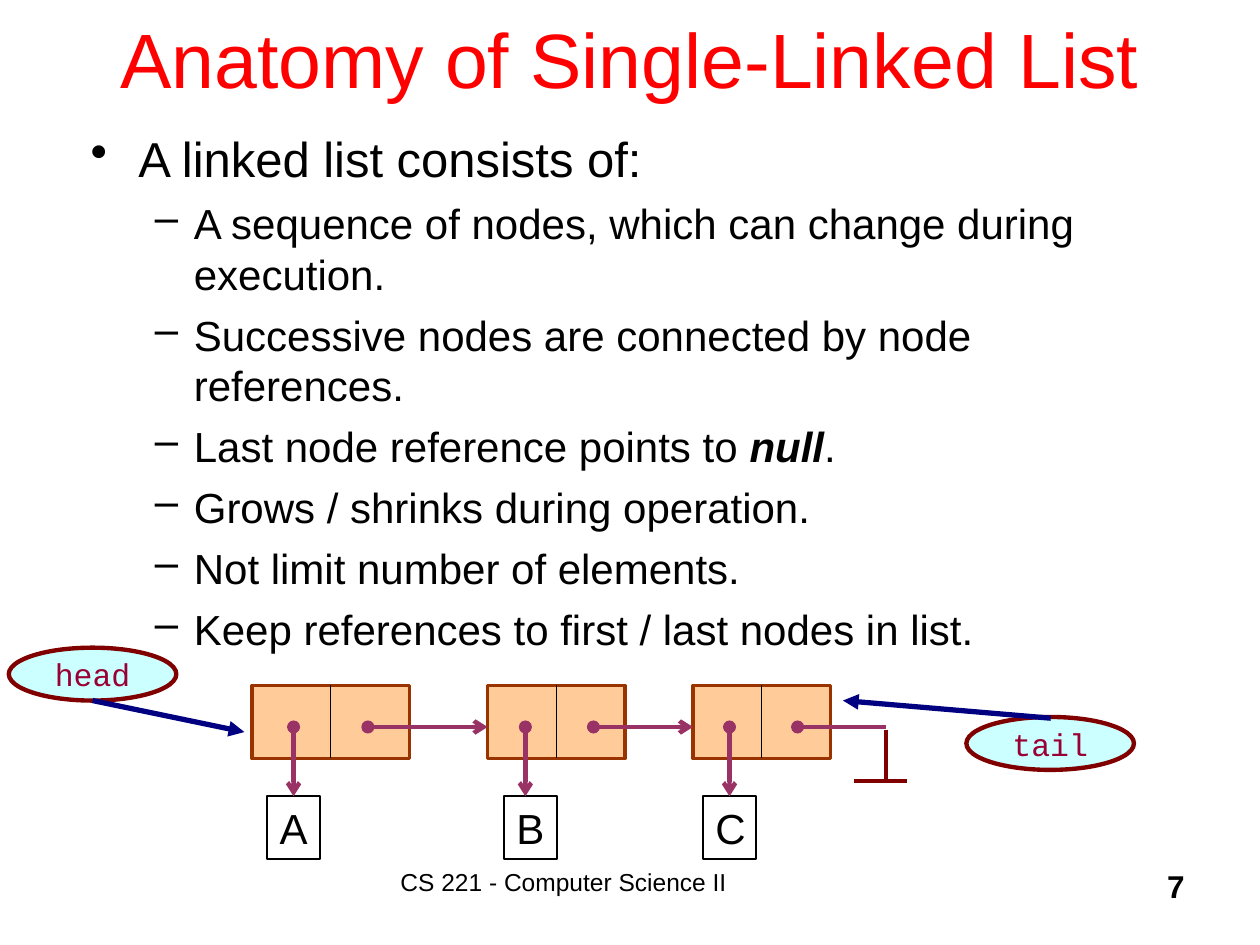
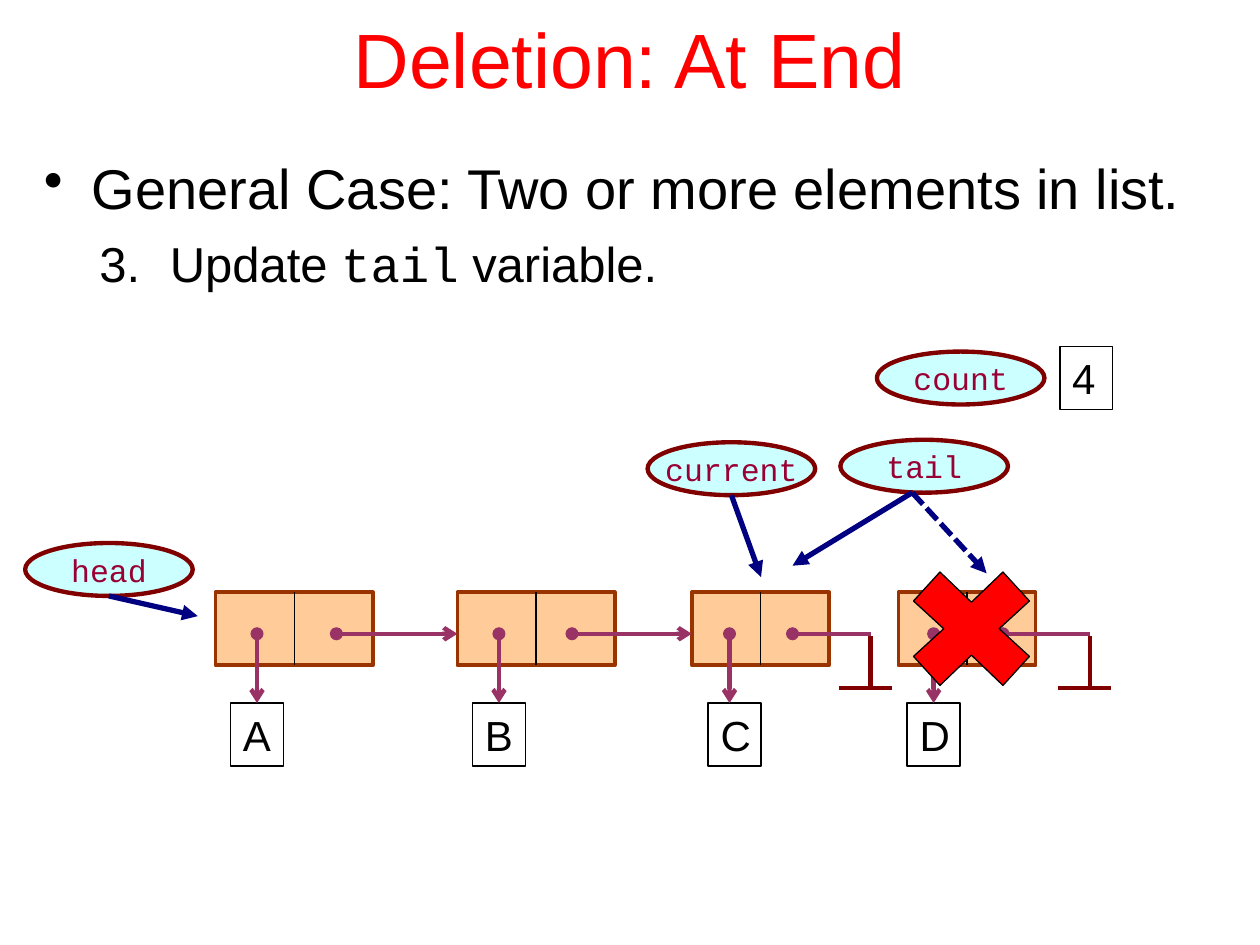
from typing import NamedTuple, Optional

from lxml import etree
from pptx import Presentation
from pptx.dml.color import RGBColor
from pptx.enum.dml import MSO_LINE
from pptx.enum.shapes import MSO_CONNECTOR, MSO_SHAPE
from pptx.enum.text import MSO_ANCHOR, PP_ALIGN
from pptx.oxml.ns import qn
from pptx.util import Inches, Pt

RECT, OVAL = MSO_SHAPE.RECTANGLE, MSO_SHAPE.OVAL
STRAIGHT = MSO_CONNECTOR.STRAIGHT
DASH = MSO_LINE.SQUARE_DOT
TOP, MIDDLE = MSO_ANCHOR.TOP, MSO_ANCHOR.MIDDLE
LEFT, CENTER, RIGHT = PP_ALIGN.LEFT, PP_ALIGN.CENTER, PP_ALIGN.RIGHT

SANS, MONO = "Arial", "Courier New"
BLACK, RED = "000000", "FF0000"
NODE_FILL, NODE_EDGE = "FFCC99", "993300"
OVAL_FILL, OVAL_TEXT, MAROON = "CCFFFF", "990033", "800000"
PLUM, NAVY = "993366", "000080"

# Measures of the list diagram, in inches
NODE_H, LINK_Y, VALUE_Y = 0.58, 0.33, 0.88
VALUE_W, VALUE_H = 0.42, 0.5
OVAL_W, OVAL_H = 1.33, 0.42
WIDE, NARROW = 1.25, 1.09
NULL_Y, NULL_W, NULL_SHIFT = 0.76, 0.42, 0.04


class Node(NamedTuple):
    """One list node; left and null are measured from the list, the rest from the node."""
    value: str
    left: float
    width: float
    data_dot: float
    next_dot: float
    value_left: float
    null: Optional[float] = None


def color(hex_code):
    return RGBColor.from_string(hex_code)


def add_run(paragraph, text, size, hex_code=BLACK, font=SANS, bold=False, italic=False):
    run = paragraph.add_run()
    run.text = text
    run.font.size, run.font.name = Pt(size), font
    run.font.bold, run.font.italic = bold, italic
    run.font.color.rgb = color(hex_code)


def set_frame(shape, anchor=TOP, wrap=True):
    frame = shape.text_frame
    frame.word_wrap, frame.vertical_anchor = wrap, anchor
    return frame


def add_label(slide, box, text, size, align=LEFT, anchor=TOP, **style):
    label = slide.shapes.add_textbox(*map(Inches, box))
    paragraph = set_frame(label, anchor).paragraphs[0]
    paragraph.alignment = align
    add_run(paragraph, text, size, **style)


def style_shape(shape, fill, edge, width):
    shape.shadow.inherit = False
    if fill:
        shape.fill.solid()
        shape.fill.fore_color.rgb = color(fill)
    else:
        shape.fill.background()
    shape.line.color.rgb = color(edge)
    shape.line.width = Pt(width)


def add_box(slide, kind, box, fill, edge, width):
    shape = slide.shapes.add_shape(kind, *map(Inches, box))
    style_shape(shape, fill, edge, width)
    return shape


def add_line(slide, start, end, hex_code, width, head=None, tail=None, dash=None):
    line = slide.shapes.add_connector(STRAIGHT, *map(Inches, (*start, *end)))
    line.line.color.rgb = color(hex_code)
    line.line.width = Pt(width)
    if dash:
        line.line.dash_style = dash
    properties = line._element.spPr
    outline = properties.find(qn("a:ln"))
    for tag, kind in (("a:headEnd", head), ("a:tailEnd", tail)):
        if kind:
            etree.SubElement(outline, qn(tag), type=kind)
    etree.SubElement(properties, qn("a:effectLst"))
    return line


def add_title(slide, text):
    add_label(slide, (0.75, -0.17, 8.5, 1.25), text, 44, CENTER, MIDDLE, hex_code=RED)


def add_footer(slide, course, number):
    add_label(slide, (3.08, 6.83, 3.83, 0.5), course, 14)
    add_label(slide, (7.42, 6.83, 2.08, 0.5), number, 18, RIGHT, bold=True)


def add_bullet(frame, runs, size, margin, hang, space, mark=None, start=None):
    """Add a paragraph with a bullet mark, or a number counted from start."""
    first = not frame.paragraphs[0].runs
    paragraph = frame.paragraphs[0] if first else frame.add_paragraph()
    properties = paragraph._p.get_or_add_pPr()
    properties.set("marL", str(Inches(margin)))
    properties.set("indent", str(-Inches(hang)))
    if mark:
        etree.SubElement(properties, qn("a:buChar"), char=mark)
    else:
        etree.SubElement(properties, qn("a:buAutoNum"), type="arabicPeriod", startAt=str(start))
    if not first:
        paragraph.space_before = Pt(space)
    for text, style in runs:
        add_run(paragraph, text, size, **style)


def add_value(slide, left, top, text):
    box = add_box(slide, RECT, (left, top, VALUE_W, VALUE_H), None, BLACK, 1)
    paragraph = set_frame(box).paragraphs[0]
    paragraph.alignment = LEFT
    add_run(paragraph, text, 24)
    return box


def add_variable(slide, left, top, name):
    """Draw a variable oval and return the middle of its lower edge."""
    oval = add_box(slide, OVAL, (left, top, OVAL_W, OVAL_H), OVAL_FILL, MAROON, 2.5)
    paragraph = set_frame(oval, MIDDLE, wrap=False).paragraphs[0]
    paragraph.alignment = CENTER
    add_run(paragraph, name, 18, OVAL_TEXT, MONO)
    return left + OVAL_W / 2, top + OVAL_H


def add_reference(slide, start, end, dash=None):
    add_line(slide, start, end, NAVY, 3, tail="triangle", dash=dash)


def add_null(slide, x, top):
    base, left = top + NULL_Y, x - NULL_SHIFT - NULL_W / 2
    add_line(slide, (x, top + LINK_Y + 0.02), (x, base), MAROON, 2.5)
    add_line(slide, (left, base), (left + NULL_W, base), MAROON, 2.5)


def add_linked_list(slide, left, top, nodes):
    # Node cells
    for node in nodes:
        x, middle = left + node.left, left + node.left + node.width / 2
        add_box(slide, RECT, (x, top, node.width, NODE_H), NODE_FILL, NODE_EDGE, 2)
        add_line(slide, (middle, top), (middle, top + NODE_H), BLACK, 0.75)

    link_y, value_y = top + LINK_Y, top + VALUE_Y
    for i, node in enumerate(nodes):
        x = left + node.left
        # Reference to the value
        value = add_value(slide, x + node.value_left, value_y, node.value)
        dot = x + node.data_dot
        link = add_line(slide, (dot, link_y), (dot, value_y), PLUM, 2.5, "oval", "arrow")
        if abs(node.value_left + VALUE_W / 2 - node.data_dot) < 0.005:
            link.end_connect(value, 0)
        # Reference to the next node or to null
        dot = x + node.next_dot
        if node.null is None:
            end, tail = left + nodes[i + 1].left, "arrow"
        else:
            end, tail = left + node.null, None
            add_null(slide, end, top)
        add_line(slide, (dot, link_y), (end, link_y), PLUM, 2.5, "oval", tail)


def add_cross(slide, center_x, center_y):
    """Draw the deletion cross from one quadrant mirrored around its centre."""
    notch_x, notch_y = 0.22, 0.21
    outer, inner = (0.46, 0.22), (0.25, 0.45)
    outline = []
    for sx, sy, notch in ((1, 1, (0, notch_y)), (-1, 1, (-notch_x, 0)),
                          (-1, -1, (0, -notch_y)), (1, -1, (notch_x, 0))):
        corners = [(sx * x, sy * y) for x, y in (outer, inner)]
        outline += corners if sx == sy else corners[::-1]
        outline.append(notch)
    points = [(Inches(center_x + x), Inches(center_y + y)) for x, y in outline]
    builder = slide.shapes.build_freeform(*points[0])
    builder.add_line_segments(points[1:], close=True)
    style_shape(builder.convert_to_shape(), RED, BLACK, 0.75)


def add_body(slide, box):
    return set_frame(slide.shapes.add_textbox(*map(Inches, box)))


def build_anatomy(slide):
    add_title(slide, "Anatomy of Single-Linked List")
    body = add_body(slide, (0.62, 0.97, 8.75, 4.41))
    add_bullet(body, [("A linked list consists of:", {})], 28, 0.38, 0.38, 7, "•")
    for runs in (
        [("A sequence of nodes, which can change during execution.", {})],
        [("Successive nodes are connected by node references.", {})],
        [("Last node reference points to ", {}),
         ("null", {"bold": True, "italic": True}), (".", {})],
        [("Grows / shrinks during operation.", {})],
        [("Not limit number of elements.", {})],
        [("Keep references to first / last nodes in list.", {})],
    ):
        add_bullet(body, runs, 24, 0.82, 0.31, 6, "–")

    add_linked_list(slide, 2, 5.44, [
        Node("A", 0, WIDE, 0.33, 0.92, 0.12),
        Node("B", 1.87, NARROW, 0.3, 0.84, 0.13),
        Node("C", 3.5, NARROW, 0.29, 0.83, 0.08, null=5.03),
    ])
    add_reference(slide, add_variable(slide, 0.07, 5.14, "head"), (1.94, 5.81))
    add_variable(slide, 7.67, 5.69, "tail")
    add_reference(slide, (8.34, 5.7), (6.69, 5.56))
    add_footer(slide, "CS 221 - Computer Science II", "7")


def build_deletion(slide):
    add_title(slide, "Deletion: At End")
    body = add_body(slide, (0.25, 1.17, 9.5, 1.89))
    add_bullet(body, [("General Case: Two or more elements in list.", {})],
               32, 0.38, 0.38, 8, "•")
    add_bullet(body, [("Update ", {}), ("tail", {"font": MONO}), (" variable.", {})],
               28, 1, 0.56, 7, start=3)

    add_linked_list(slide, 1.71, 4.7, [
        Node("A", 0, WIDE, 0.33, 0.96, 0.12),
        Node("B", 1.92, WIDE, 0.33, 0.91, 0.12),
        Node("C", 3.78, NARROW, 0.3, 0.8, 0.13, null=5.2),
        Node("D", 5.42, NARROW, 0.28, 0.83, 0.07, null=6.94),
    ])
    add_cross(slide, 7.71, 4.99)

    # Variables and what they refer to
    add_variable(slide, 6.96, 2.79, "count")
    add_value(slide, 8.41, 2.75, "4")
    add_reference(slide, add_variable(slide, 0.2, 4.31, "head"), (1.57, 4.89))
    add_reference(slide, add_variable(slide, 5.14, 3.51, "current"), (6.04, 4.58))
    add_variable(slide, 6.67, 3.49, "tail")
    tail_start = (7.24, 3.91)
    add_reference(slide, tail_start, (6.29, 4.49))
    add_reference(slide, tail_start, (7.83, 4.55), DASH)


def main():
    deck = Presentation()
    deck.slide_width, deck.slide_height = Inches(10), Inches(7.5)
    for build in (build_anatomy, build_deletion):
        build(deck.slides.add_slide(deck.slide_layouts[6]))
    deck.save("out.pptx")


if __name__ == "__main__":
    main()
